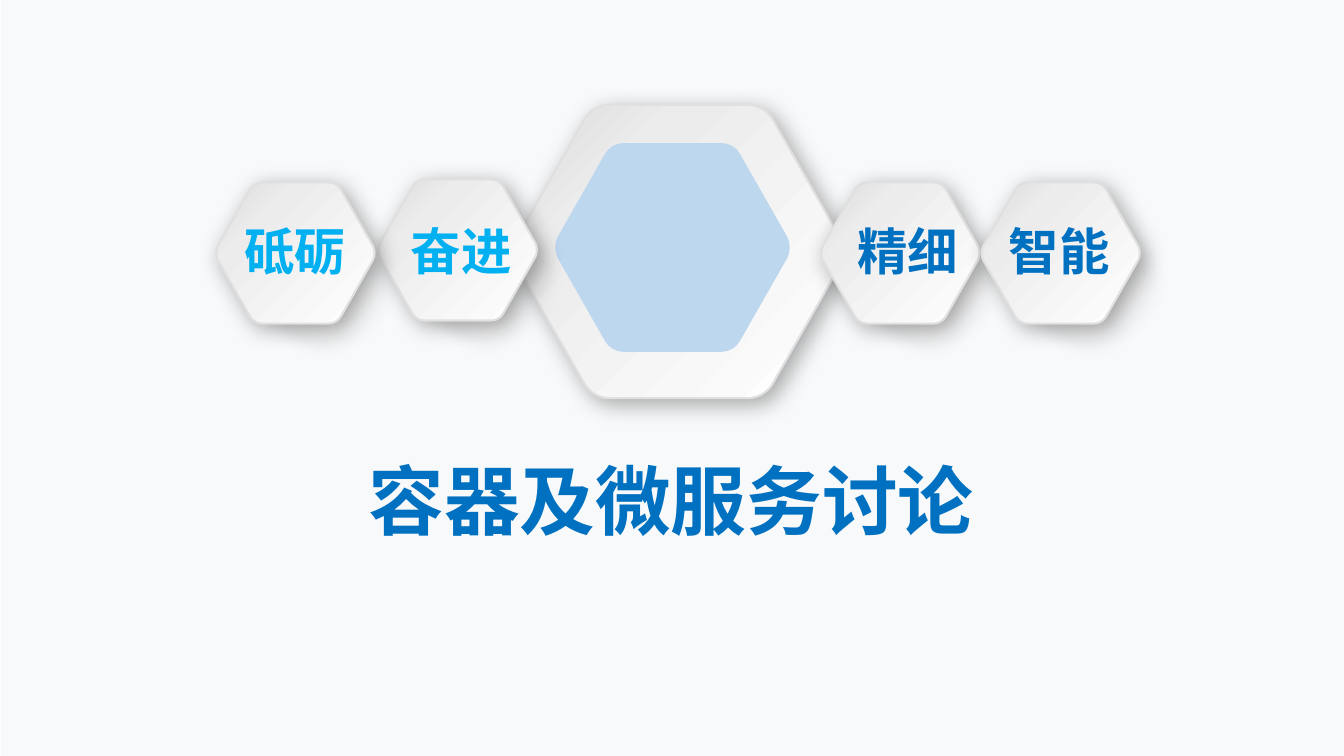
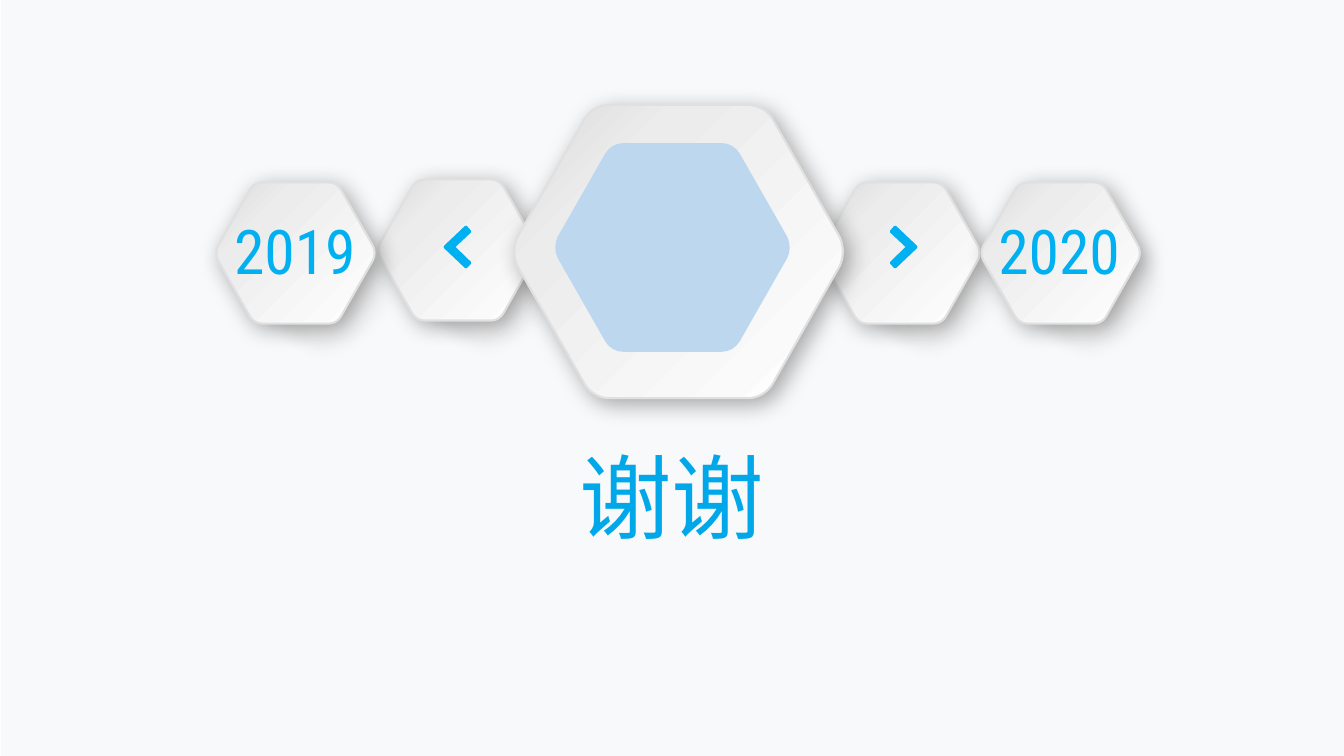
from lxml import etree
from pptx import Presentation
from pptx.dml.color import RGBColor
from pptx.enum.shapes import MSO_SHAPE
from pptx.enum.text import MSO_ANCHOR, MSO_AUTO_SIZE, PP_ALIGN
from pptx.oxml.ns import qn
from pptx.util import Inches, Pt

RECTANGLE, ROUNDED = MSO_SHAPE.RECTANGLE, MSO_SHAPE.ROUNDED_RECTANGLE
MIDDLE, TOP = MSO_ANCHOR.MIDDLE, MSO_ANCHOR.TOP
GROW, FIXED = MSO_AUTO_SIZE.SHAPE_TO_FIT_TEXT, MSO_AUTO_SIZE.NONE
CENTER = PP_ALIGN.CENTER

WIDTH, HEIGHT = 13.33, 7.5
BACKGROUND, EDGE, PALE_BLUE = "F8F9FA", "E0E0E0", "BDD7EE"
SKY, TITLE_SKY = "00B0F0", "00A8EA"
# A gradient is (angle, [(position %, colour, opacity %), ...])
DEEP = (140, [(0, "0070C0", 100), (100, SKY, 100)])
FADED = (140, [(0, SKY, 100), (100, "808080", 100)])
PLATE = (45, [(0, "FFFFFF", 100), (73, "ECECEC", 100), (100, "D9D9D9", 100)])
SHADE = (0, [(0, "000000", 29), (100, "E8E8E8", 0)])

LATIN, CJK = "Roboto Condensed", "Noto Sans CJK SC"

# Bezier corners of the hexagon's right half, as fractions of its box
UPPER_CORNER = [(0.71, 0), (0.74, 0), (0.77, 0.02), (0.785, 0.05)]
SIDE_CORNER = [(0.987, 0.45), (1, 0.48), (1, 0.52), (0.987, 0.55)]
LOWER_CORNER = [(x, 1 - y) for x, y in reversed(UPPER_CORNER)]
RIGHT_HALF = UPPER_CORNER + SIDE_CORNER + LOWER_CORNER
HEXAGON = RIGHT_HALF + [(1 - x, 1 - y) for x, y in RIGHT_HALF]
LEFT_CHEVRON = [(0.79, 0), (0.85, 0), (1, 0.11), (1, 0.16), (0.44, 0.5),
                (1, 0.85), (1, 0.9), (0.85, 1), (0.79, 1), (0.02, 0.53),
                (0, 0.5), (0.02, 0.47)]

# Badge boxes, from back to front
BADGE_SIZE = (1.58, 1.4)
BADGES = [(3.75, 1.78), (8.14, 1.81), (9.73, 1.81), (2.14, 1.81)]
LABEL_LEFTS = {"outer left": 2.08, "inner left": 3.73,
               "inner right": 8.16, "outer right": 9.66}


def rgb(colour):
    return RGBColor.from_string(colour)


def paint(fill, holder, colour):
    """Fill with a hex colour, or with a gradient placed in the XML holder."""
    if isinstance(colour, str):
        fill.solid()
        fill.fore_color.rgb = rgb(colour)
        return
    angle, stops = colour
    fill.gradient()
    fill.gradient_angle = 360 - angle if angle else 0
    stop_list = holder.find(qn("a:gradFill")).find(qn("a:gsLst"))
    for old_stop in list(stop_list):
        stop_list.remove(old_stop)
    for position, value, opacity in stops:
        stop = etree.SubElement(stop_list, qn("a:gs"), pos=str(position * 1000))
        tone = etree.SubElement(stop, qn("a:srgbClr"), val=value)
        if opacity < 100:
            etree.SubElement(tone, qn("a:alpha"), val=str(opacity * 1000))


def finish(shape, colour, line=None):
    shape.shadow.inherit = False
    paint(shape.fill, shape._element.spPr, colour)
    if line:
        shape.line.color.rgb = rgb(line)
        shape.line.width = Pt(1.5)
    else:
        shape.line.fill.background()
    return shape


def add_effect(shape, tag, **settings):
    effects = shape._element.spPr.find(qn("a:effectLst"))
    return etree.SubElement(effects, qn(tag), **settings)


def soft_shadow(shape):
    shadow = add_effect(shape, "a:outerShdw", blurRad=str(Pt(16)), dist=str(Pt(5)),
                        dir=str(45 * 60000), algn="tl", rotWithShape="0")
    tone = etree.SubElement(shadow, qn("a:srgbClr"), val="000000")
    etree.SubElement(tone, qn("a:alpha"), val="32000")


def outline(page, points, box):
    """Draw a closed shape whose points are fractions of the box."""
    left, top, width, height = box
    spots = [(Inches(left + x * width), Inches(top + y * height)) for x, y in points]
    builder = page.shapes.build_freeform(*spots[0])
    builder.add_line_segments(spots[1:], close=True)
    return builder.convert_to_shape()


def hexagon(page, box):
    """Draw a hexagon, turning the four points of each corner into a curve."""
    shape = outline(page, HEXAGON, box)
    track = next(shape._element.iter(qn("a:path")))
    steps = list(track)
    for start in range(1, len(HEXAGON), 4):
        curve = etree.Element(qn("a:cubicBezTo"))
        steps[start].addprevious(curve)
        for step in steps[start:start + 3]:
            curve.append(step[0])
            track.remove(step)
    return shape


def plate(page, box):
    """Raised grey hexagon, turned so that its light end is lower right."""
    shape = finish(hexagon(page, box), PLATE, EDGE)
    shape.rotation = 180
    soft_shadow(shape)


def emblem(page, left, top):
    plate(page, (left, top, 3.28, 2.91))
    finish(hexagon(page, (left + 0.41, top + 0.38, 2.34, 2.07)), PALE_BLUE)


def badge(page, left, top):
    cast = page.shapes.add_shape(ROUNDED, Inches(left + 0.12), Inches(top + 0.15),
                                 Inches(1.79), Inches(1.59))
    cast.adjustments[0] = 0.476
    cast.rotation = 46
    finish(cast, SHADE)
    add_effect(cast, "a:softEdge", rad=str(Pt(10)))
    plate(page, (left, top, *BADGE_SIZE))


def chevron(page, left, top, pointing_right=False):
    points = [(1 - x if pointing_right else x, y) for x, y in LEFT_CHEVRON]
    finish(outline(page, points, (left, top, 0.27, 0.42)), SKY)


def write(page, box, text, colour, frame_format, **font_format):
    text_box = page.shapes.add_textbox(*map(Inches, box))
    frame = text_box.text_frame
    for name, value in {"word_wrap": True, **frame_format}.items():
        setattr(frame, name, value)
    para = frame.paragraphs[0]
    para.alignment = CENTER
    span = para.add_run()
    span.text = text
    for name, value in font_format.items():
        setattr(span.font, name, value)
    properties = span._r.get_or_add_rPr()
    paint(span.font.fill, properties, colour)
    etree.SubElement(properties, qn("a:ea"), typeface=CJK)


def label(page, place, text, colour, size, bold=False):
    write(page, (LABEL_LEFTS[place], 2.22, 1.69, 0.52), text, colour,
          {"vertical_anchor": MIDDLE, "auto_size": FIXED},
          name=LATIN, size=Pt(size), bold=bold)


def title(page, box, text, colour, size, bold=False):
    write(page, box, text, colour, {"vertical_anchor": TOP, "auto_size": GROW},
          name=CJK, size=Pt(size), bold=bold)


def badge_row(page):
    for left, top in BADGES:
        badge(page, left, top)


def cover(page):
    emblem(page, 5.09, 1.04)
    badge_row(page)
    for place, text, colour in [("outer left", "砥砺", SKY), ("inner left", "奋进", SKY),
                                ("inner right", "精细", DEEP), ("outer right", "智能", DEEP)]:
        label(page, place, text, colour, 36, bold=True)
    title(page, (1.04, 4.45, 11.23, 1.01), "容器及微服务讨论", DEEP, 54, bold=True)


def closing(page):
    badge_row(page)
    chevron(page, 4.4, 2.24)
    chevron(page, 8.83, 2.24, pointing_right=True)
    label(page, "outer left", "2019", FADED, 44)
    label(page, "outer right", "2020", SKY, 44)
    title(page, (0.93, 4.32, 11.47, 1.21), "谢谢", TITLE_SKY, 66)
    emblem(page, 5.09, 1.04)


def add_backdrop(master, page):
    """Draw the backdrop on a page and move it to the master, behind all else."""
    backdrop = page.shapes.add_shape(RECTANGLE, Inches(0.01), 0,
                                     Inches(WIDTH), Inches(HEIGHT))
    finish(backdrop, BACKGROUND)
    master.shapes[0]._element.addprevious(backdrop._element)


def main():
    deck = Presentation()
    deck.slide_width, deck.slide_height = Inches(WIDTH), Inches(HEIGHT)
    pages = [deck.slides.add_slide(deck.slide_layouts[6]) for _ in range(2)]
    add_backdrop(deck.slide_master, pages[0])
    for build, page in zip((cover, closing), pages):
        build(page)
    deck.save("out.pptx")


if __name__ == "__main__":
    main()
